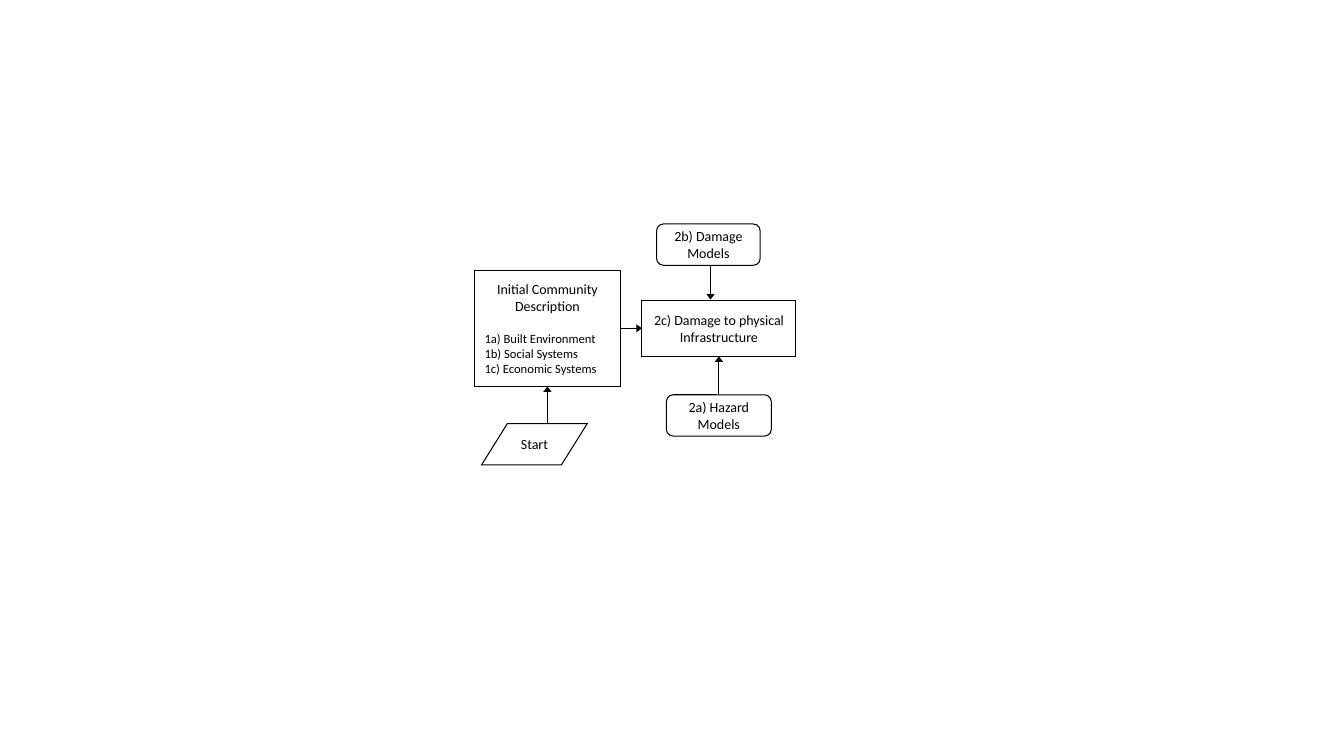
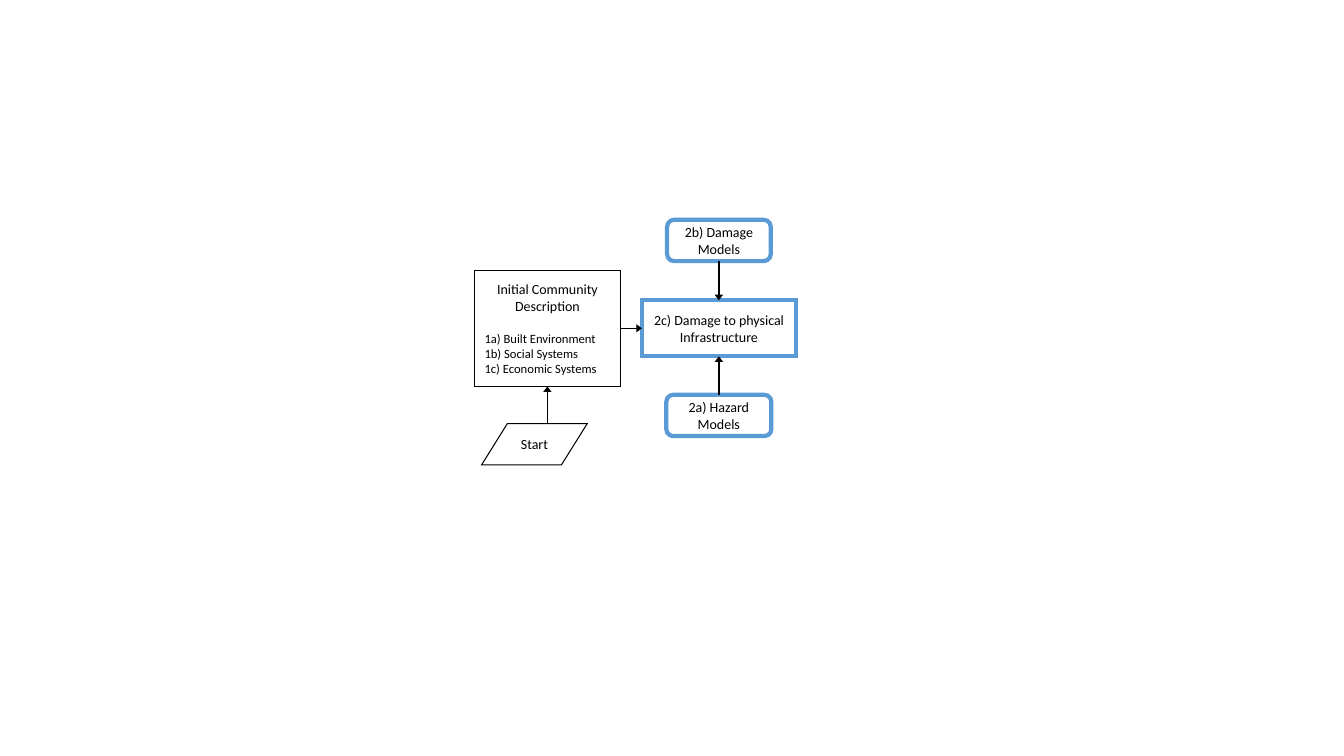
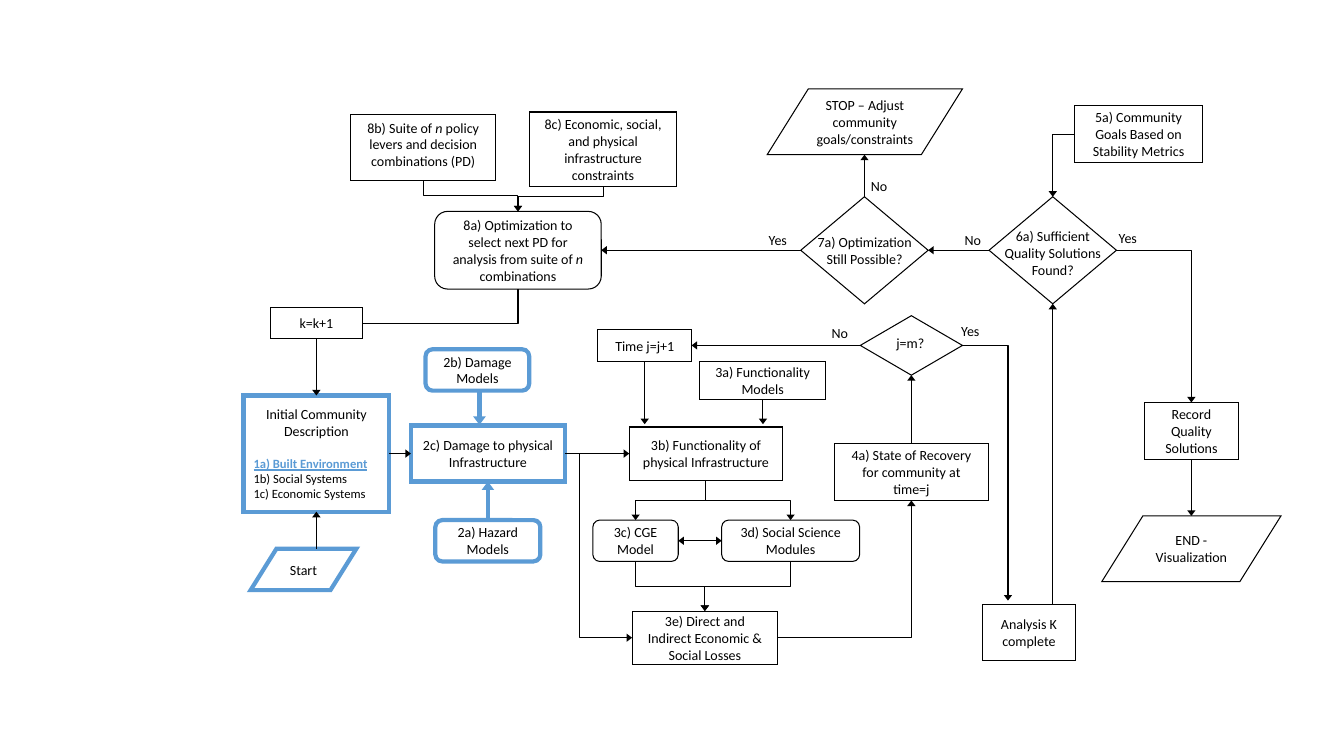
import pptx
import pptx.dml.color
import pptx.enum.shapes
import pptx.enum.text
import pptx.oxml.ns
import pptx.util
from lxml import etree

Pt = pptx.util.Pt
qn = pptx.oxml.ns.qn
Preset = pptx.enum.shapes.MSO_SHAPE
Link = pptx.enum.shapes.MSO_CONNECTOR
Align = pptx.enum.text.PP_ALIGN
Anchor = pptx.enum.text.MSO_ANCHOR

BLACK = pptx.dml.color.RGBColor(0x00, 0x00, 0x00)
WHITE = pptx.dml.color.RGBColor(0xFF, 0xFF, 0xFF)
BLUE = pptx.dml.color.RGBColor(0x5B, 0x9B, 0xD5)

THIN = (BLACK, 0.75)
MEDIUM = (BLACK, 1)
BOLD = (BLUE, 3)
TOP, LEFT, BOTTOM, RIGHT = range(4)


class Flowchart:
    """Draws flowchart elements in one style on the current slide."""

    font = "Calibri"
    size = 10

    def __init__(self):
        self.deck = pptx.Presentation()
        self.deck.slide_width, self.deck.slide_height = Pt(960), Pt(540)
        self.shapes = None

    def new_slide(self):
        self.shapes = self.deck.slides.add_slide(self.deck.slide_layouts[6]).shapes

    def run(self, paragraph, text, size=size, color=BLACK, bold=None, italic=None, underline=None):
        font_run = paragraph.add_run()
        font_run.text = text
        font = font_run.font
        font.name, font.size, font.color.rgb = self.font, Pt(size), color
        font.bold, font.italic, font.underline = bold, italic, underline

    def node(self, preset, at, text="", stroke=THIN, anchor=Anchor.MIDDLE):
        """Adds an outlined box; text between asterisks is italic."""
        node = self.shapes.add_shape(preset, *map(Pt, at))
        node.shadow.inherit = False
        node.fill.solid()
        node.fill.fore_color.rgb = WHITE
        self.stroke(node, stroke)
        etree.SubElement(node._element.spPr.find(qn("a:ln")), qn("a:miter"), lim="800000")
        if preset == Preset.PARALLELOGRAM:
            node.adjustments[0] = 0.625
        frame = node.text_frame
        frame.vertical_anchor = anchor
        if text:
            frame.paragraphs[0].alignment = Align.CENTER
            for position, part in enumerate(text.split("*")):
                self.run(frame.paragraphs[0], part, italic=position % 2 == 1 or None)
        return node

    def label(self, at, text, wrap=False):
        label = self.shapes.add_textbox(*map(Pt, at))
        frame = label.text_frame
        frame.word_wrap = wrap
        frame.auto_size = pptx.enum.text.MSO_AUTO_SIZE.SHAPE_TO_FIT_TEXT
        if wrap:
            frame.paragraphs[0].alignment = Align.CENTER
        self.run(frame.paragraphs[0], text)

    def stroke(self, item, stroke):
        color, width = stroke
        item.line.color.rgb = color
        item.line.width = Pt(width)

    def locate(self, end):
        """Returns the position of a free point or of a (node, side) pair."""
        if isinstance(end[0], (int, float)):
            return Pt(end[0]), Pt(end[1])
        node, side = end
        across = {LEFT: 0, RIGHT: node.width}.get(side, node.width // 2)
        down = {TOP: 0, BOTTOM: node.height}.get(side, node.height // 2)
        return node.left + across, node.top + down

    def arrow(self, start, end, stroke=THIN, heads=("tailEnd",), kind=Link.STRAIGHT):
        arrow = self.shapes.add_connector(kind, *self.locate(start), *self.locate(end))
        for point, connect in ((start, arrow.begin_connect), (end, arrow.end_connect)):
            if not isinstance(point[0], (int, float)):
                connect(*point)
        self.stroke(arrow, stroke)
        properties = arrow._element.spPr
        for head in heads:
            etree.SubElement(properties.find(qn("a:ln")), qn("a:" + head),
                             type="triangle", w="med", len="sm")
        etree.SubElement(properties, qn("a:effectLst"))
        return arrow

    def elbow(self, start, end, bend=None, heads=("tailEnd",)):
        """Adds a right-angled arrow: one corner, or two when bend is given."""
        elbow = self.arrow(start, end, heads=heads, kind=Link.ELBOW)
        (x1, y1), (x2, y2) = self.locate(start), self.locate(end)
        width, height = abs(x2 - x1), abs(y2 - y1)
        side = start[1]
        if side == BOTTOM:
            width, height = height, width
            turn, flip = (90, None) if x2 < x1 else (270, "flipH")
        elif side == LEFT:
            turn, flip = 180, "flipV" if y2 > y1 else None
        else:
            turn, flip = 0, "flipV" if y2 < y1 else None
        elbow.left, elbow.top = (x1 + x2 - width) // 2, (y1 + y2 - height) // 2
        elbow.width, elbow.height = width, height
        frame = elbow._element.spPr.find(qn("a:xfrm"))
        for name in ("flipH", "flipV"):
            frame.attrib.pop(name, None)
        frame.set("rot", str(turn * 60000))
        if flip:
            frame.set(flip, "1")
        geometry = elbow._element.spPr.find(qn("a:prstGeom"))
        geometry.set("prst", "bentConnector2" if bend is None else "bentConnector3")
        if bend is not None:
            guides = geometry.find(qn("a:avLst"))
            etree.SubElement(guides, qn("a:gd"), name="adj1", fmla=f"val {round(bend * 100000)}")

    def community(self, at, stroke):
        community = self.node(Preset.RECTANGLE, at, "Initial Community Description", stroke)
        frame = community.text_frame
        frame.paragraphs[0].space_after = Pt(12)
        emphasis = {"color": BLUE, "bold": True, "underline": True} if stroke == BOLD else {}
        for system, style in (("1a) Built Environment", emphasis),
                              ("1b) Social Systems", {}),
                              ("1c) Economic Systems", {})):
            paragraph = frame.add_paragraph()
            paragraph.alignment = Align.LEFT
            self.run(paragraph, system, size=9, **style)
        return community

    def damage_stage(self, dx=0, dy=0, damage_at=(469, 160), damage_x=507.5, site=THIN,
                     models=THIN, feed=THIN, model_arrow=THIN):
        """Draws the stages from the start to the damage and returns the two main ones."""
        def shifted(x, y, *extent):
            return (x + dx, y + dy, *extent)

        self.node(Preset.PARALLELOGRAM, shifted(344, 302.5, 75.5, 29.5), "Start", site)
        community = self.community(shifted(339, 193, 104, 83), site)
        damage = self.node(Preset.RECTANGLE, shifted(458.5, 214.5, 110, 40),
                           "2c) Damage to physical Infrastructure", models)
        damage_models = self.node(Preset.ROUNDED_RECTANGLE, shifted(*damage_at, 74, 29.5),
                                  "2b) Damage Models", models)
        hazard_models = self.node(Preset.ROUNDED_RECTANGLE, shifted(476, 282, 75, 29.5),
                                  "2a) Hazard Models", models)
        self.arrow(shifted(391, 302.5), (community, BOTTOM))
        self.arrow((community, RIGHT), (damage, LEFT), feed)
        self.arrow((hazard_models, TOP), (damage, BOTTOM), model_arrow)
        if damage_x is None:
            self.arrow((damage_models, BOTTOM), (damage, TOP), model_arrow)
        else:
            self.arrow(shifted(damage_x, 190), shifted(damage_x, 214), model_arrow)
        return community, damage


def full_process(chart):
    community, damage = chart.damage_stage(-165, 89.5, site=BOLD, models=BOLD, model_arrow=BOLD)

    def box(at, text, **style):
        return chart.node(Preset.RECTANGLE, at, text, **style)

    def rounded(at, text):
        return chart.node(Preset.ROUNDED_RECTANGLE, at, text)

    def decision(at, text_at, text):
        diamond = chart.node(Preset.DIAMOND, at)
        chart.label(text_at, text, wrap=True)
        return diamond

    levers = box((250.5, 81.5, 103.5, 47.5),
                 "8b) Suite of *n* policy levers and decision combinations (PD)",
                 anchor=Anchor.TOP)
    constraints = box((378.5, 80, 104.5, 53.5),
                      "8c) Economic, social, and physical infrastructure constraints")
    optimization = rounded((310.5, 151, 119, 55.5),
                           "8a) Optimization to select next PD for analysis from suite of *n* combinations")
    next_policy = box((193, 219.5, 66, 22.5), "k=k+1")
    next_time = box((427, 235.5, 67, 22.5), "Time j=j+1")
    box((499.5, 258, 90.5, 27.5), "3a) Functionality Models")
    functionality = box((449.5, 305, 109.5, 38), "3b) Functionality of physical Infrastructure")
    cge = rounded((423.5, 371.5, 61, 29.5), "3c) CGE Model")
    social = rounded((515.5, 371.5, 98.5, 29.5), "3d) Social Science Modules")
    losses = box((451.5, 436.5, 104, 38), "3e) Direct and Indirect Economic & Social Losses")
    recovery = box((596, 317, 110, 40.5), "4a) State of Recovery for community at time=j")
    goals = box((767.5, 75.5, 91.5, 40.5), "5a) Community Goals Based on Stability Metrics")
    box((701.5, 431.5, 67, 40.5), "Analysis K complete")
    record = box((817.5, 287.5, 67, 40.5), "Record Quality Solutions")
    chart.node(Preset.PARALLELOGRAM, (787, 368.5, 128, 47), "END - Visualization")
    chart.node(Preset.PARALLELOGRAM, (548, 63.5, 139.5, 47), "STOP – Adjust community goals/constraints")
    last_time = decision((614.5, 225.5, 73, 42.5), (624, 235.5, 52.5, 19.5), "j=m?")
    sufficient = decision((706.5, 140.5, 91, 76.5), (707, 159, 90, 44),
                          "6a) Sufficient Quality Solutions Found?")
    possible = decision((572, 140.5, 91, 76.5), (572.5, 163.5, 90, 31.5),
                        "7a) Optimization Still Possible?")

    for x, y, answer in ((587, 228, "No"), (679.5, 227, "Yes"), (792, 160.5, "Yes"),
                         (682, 161.5, "No"), (542, 161.5, "Yes"), (615, 123, "No")):
        chart.label((x, y, 32 if answer == "Yes" else 27, 19.5), answer)

    for start, end in (
        ((damage, RIGHT), (functionality, LEFT)),
        ((recovery, TOP), (last_time, BOTTOM)),
        ((last_time, LEFT), (next_time, RIGHT)),
        ((next_time, BOTTOM), (460.5, 303)),
        ((545, 285.5), (545, 303)),
        ((752, 431.5), (sufficient, BOTTOM)),
        ((record, BOTTOM), (851, 368.5)),
        ((sufficient, LEFT), (possible, RIGHT)),
        ((possible, TOP), (617.5, 110.5)),
        ((possible, LEFT), (optimization, RIGHT)),
        ((next_policy, BOTTOM), (community, TOP)),
    ):
        chart.arrow(start, end)
    chart.arrow((cge, RIGHT), (social, LEFT), heads=("headEnd", "tailEnd"))

    for start, end, bend in (
        ((levers, BOTTOM), (optimization, TOP), 0.5),
        ((constraints, BOTTOM), (optimization, TOP), 0.38),
        ((damage, RIGHT), (losses, LEFT), 0.22),
        ((functionality, BOTTOM), (cge, TOP), 0.5),
        ((functionality, BOTTOM), (social, TOP), 0.5),
        ((cge, BOTTOM), (losses, TOP), 0.5),
        ((social, BOTTOM), (losses, TOP), 0.5),
        ((losses, RIGHT), (recovery, BOTTOM), None),
        ((last_time, RIGHT), (720, 429), None),
        ((sufficient, RIGHT), (record, TOP), None),
        ((goals, LEFT), (sufficient, TOP), None),
    ):
        chart.elbow(start, end, bend)
    chart.elbow((optimization, BOTTOM), (next_policy, RIGHT), heads=())


def main():
    chart = Flowchart()
    chart.new_slide()
    chart.damage_stage()
    chart.new_slide()
    chart.damage_stage(damage_at=(476.5, 157), damage_x=None, models=BOLD,
                       feed=MEDIUM, model_arrow=MEDIUM)
    chart.new_slide()
    full_process(chart)
    chart.deck.save("out.pptx")


if __name__ == "__main__":
    main()
